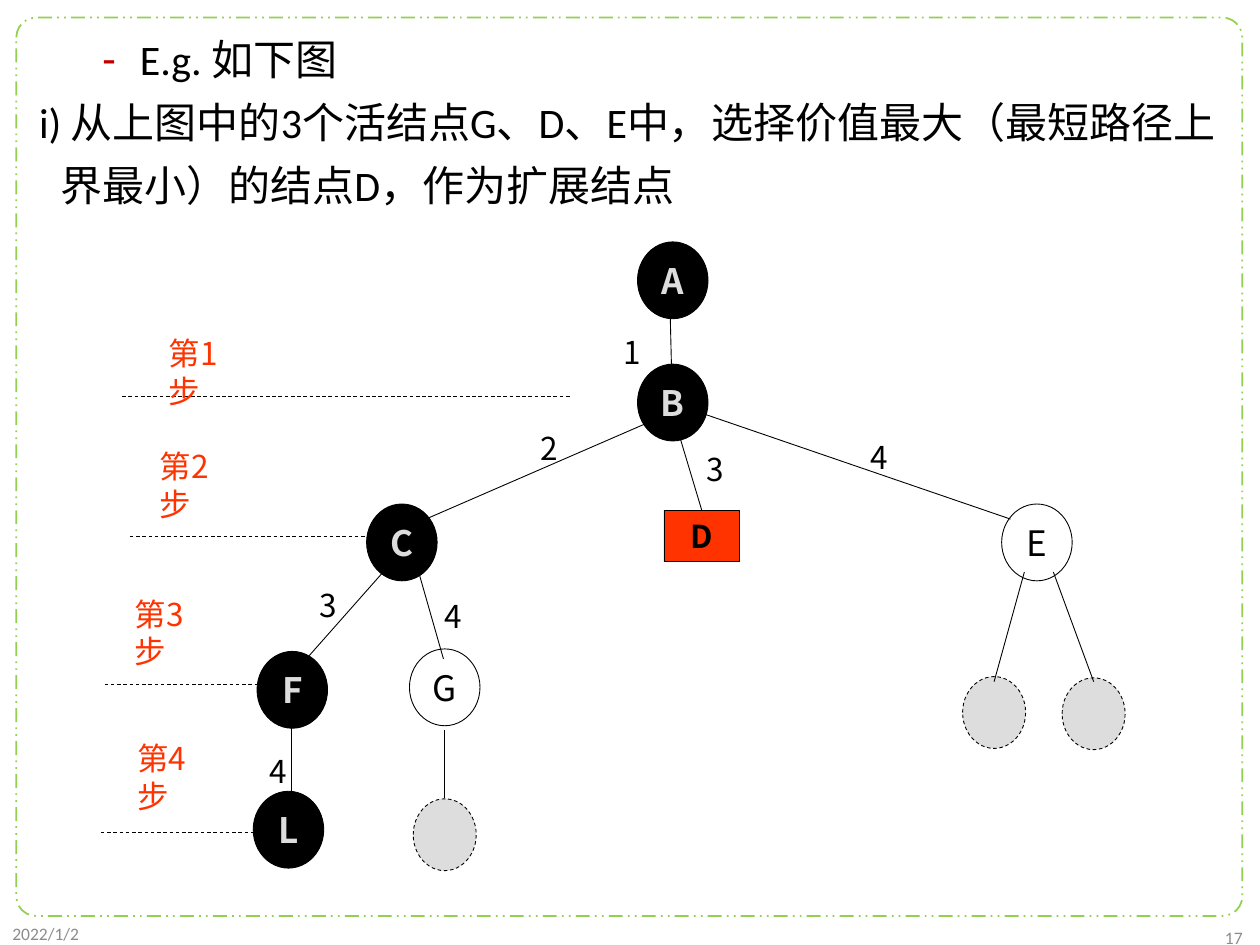
from lxml import etree
from pptx import Presentation, util as u
from pptx.dml import color
from pptx.enum import dml, shapes, text
from pptx.oxml import ns

HUE = {"ink": "000000", "pale": "DDDDDD", "red": "FF3300", "frame": "92D050",
       "foot": "8C8C8C", "dash": "C00000"}
SANS = "Noto Sans CJK SC"
KIND = shapes.MSO_SHAPE
DASH = dml.MSO_LINE.DASH
LEFT, MID, RIGHT = text.PP_ALIGN.LEFT, text.PP_ALIGN.CENTER, text.PP_ALIGN.RIGHT


def style(par, size, hue, face=SANS, bold=False):
    font = par.font
    font.size, font.name, font.bold = u.Pt(size), face, bold
    font.color.rgb = color.RGBColor.from_string(HUE[hue])
    east = etree.Element(ns.qn("a:ea"), typeface=SANS)
    font._element.find(ns.qn("a:latin")).addnext(east)


def outline(line, hue="ink", width=0.5, dash=None):
    line.width = u.Pt(width)
    line.color.rgb = color.RGBColor.from_string(HUE[hue])
    if dash:
        line.dash_style = dash


prs = Presentation()
prs.slide_width, prs.slide_height = u.Inches(10), u.Inches(7.5)
slide = prs.slides.add_slide(prs.slide_layouts[1])
tree = slide.shapes
title = tree.title._element
title.getparent().remove(title)

body = tree.placeholders[1]
body.left, body.top = u.Inches(0.13), u.Inches(0.18)
body.width, body.height = u.Inches(9.73), u.Inches(7.08)
frame = body.text_frame
frame.auto_size = text.MSO_AUTO_SIZE.NONE
frame.vertical_anchor = text.MSO_ANCHOR.TOP
words = [("E.g. 如下图", 2, 0.88, -0.3, 1.1),
         ("i) 从上图中的3个活结点G、D、E中，选择价值最大（最短路径上界最小）的结点D，作为扩展结点",
          0, 0.25, -0.17, 1.25)]
for i, (line, level, margin, indent, gap) in enumerate(words):
    par = frame.add_paragraph() if i else frame.paragraphs[0]
    par.text, par.level, par.line_spacing = line, level, gap
    par.space_before = u.Pt(0)
    props = par._p.get_or_add_pPr()
    props.set("marL", str(u.Inches(margin)))
    props.set("indent", str(u.Inches(indent)))
    if level:
        tint = etree.SubElement(props, ns.qn("a:buClr"))
        etree.SubElement(tint, ns.qn("a:srgbClr"), val=HUE["dash"])
        etree.SubElement(props, ns.qn("a:buChar"), char="-")
    else:
        etree.SubElement(props, ns.qn("a:buNone"))
    style(par, 24, "ink", "Calibri")

nodes = [
    (KIND.ROUNDED_RECTANGLE, "", 0.13, 0.14, 9.73, 7.13, None, None),
    *[(KIND.OVAL, name, x, y, 0.56, 0.61, "ink", "pale") for name, x, y in [
        ("A", 5.06, 1.92), ("B", 5.06, 2.89), ("C", 2.91, 4),
        ("F", 2.04, 5.17), ("L", 2.01, 6.28)]],
    *[(KIND.OVAL, name, x, y, 0.56, 0.61, None, "ink") for name, x, y in [
        ("E", 7.95, 4), ("G", 3.25, 5.15)]],
    *[(KIND.OVAL, "", x, y, 0.5, 0.57, "pale", None) for x, y in [
        (3.28, 6.34), (7.64, 5.37), (8.43, 5.38)]],
    (KIND.RECTANGLE, "D", 5.27, 4.05, 0.6, 0.41, "red", "ink"),
]
for kind, name, x, y, wide, high, fill, hue in nodes:
    node = tree.add_shape(kind, *map(u.Inches, (x, y, wide, high)))
    node.shadow.inherit = False
    if fill:
        node.fill.solid()
        node.fill.fore_color.rgb = color.RGBColor.from_string(HUE[fill])
    else:
        node.fill.background()
    if kind == KIND.ROUNDED_RECTANGLE:
        node.adjustments[0] = 0.022
        outline(node.line, "frame", 1, dml.MSO_LINE.DASH_DOT_DOT)
    else:
        outline(node.line, dash=None if name else DASH)
    if name:
        frame = node.text_frame
        frame.margin_left = frame.margin_right = 0
        frame.margin_top = frame.margin_bottom = 0
        frame.vertical_anchor = text.MSO_ANCHOR.MIDDLE
        par = frame.paragraphs[0]
        par.text, par.alignment = name, MID
        style(par, 18 if name == "D" else 20, hue, bold=fill is not None)
goal = node

edges = [
    (5.32, 2.52, 5.33, 2.94), (5.13, 3.36, 3.38, 4.12),
    (5.6, 3.29, 8.02, 4.12), (3.05, 4.53, 2.44, 5.22),
    (3.32, 4.53, 3.52, 5.23), (2.31, 5.71, 2.31, 6.3),
    (3.53, 5.79, 3.53, 6.33), (8.13, 4.54, 7.89, 5.41),
    (8.36, 4.54, 8.68, 5.41), (5.39, 3.45, 5.57, 4.05),
]
rules = [(0.97, 4.53, 3.15), (1.03, 2.91, 4.26),
         (0.83, 2.04, 5.43), (0.8, 2.01, 6.61)]
lines = [(ends, None) for ends in edges]
lines += [((x, y, end, y), DASH) for x, end, y in rules]
for ends, dash in lines:
    edge = tree.add_connector(shapes.MSO_CONNECTOR.STRAIGHT, *map(u.Inches, ends))
    outline(edge.line, dash=dash)
    etree.SubElement(edge._element.spPr, ns.qn("a:effectLst"))
    if ends == edges[-1]:
        edge.end_connect(goal, 0)

costs = [("1", 4.85, 2.59), ("2", 4.19, 3.36), ("3", 5.51, 3.52),
         ("4", 6.81, 3.43), ("3", 2.44, 4.6), ("4", 3.43, 4.69),
         ("4", 2.04, 5.92)]
steps = [(1.24, 2.6), (1.17, 3.5), (0.97, 4.67), (0.99, 5.82)]
notes = [(cost, x, y, 0.35, 0.4, 18, "ink", SANS, LEFT) for cost, x, y in costs]
notes += [(f"第{i}步", x, y, 0.82, 0.4, 18, "red", SANS, LEFT)
          for i, (x, y) in enumerate(steps, 1)]
notes += [("2022/1/2", 0, 7.26, 2.25, 0.29, 10, "foot", "Calibri", LEFT),
          ("17", 7.71, 7.31, 2.25, 0.26, 10, "foot", "Calibri", RIGHT)]
for label, x, y, wide, high, size, hue, face, align in notes:
    frame = tree.add_textbox(*map(u.Inches, (x, y, wide, high))).text_frame
    frame.word_wrap = True
    if hue == "foot":
        frame.vertical_anchor = text.MSO_ANCHOR.MIDDLE
    par = frame.paragraphs[0]
    par.text, par.alignment = label, align
    style(par, size, hue, face)

prs.save("out.pptx")
